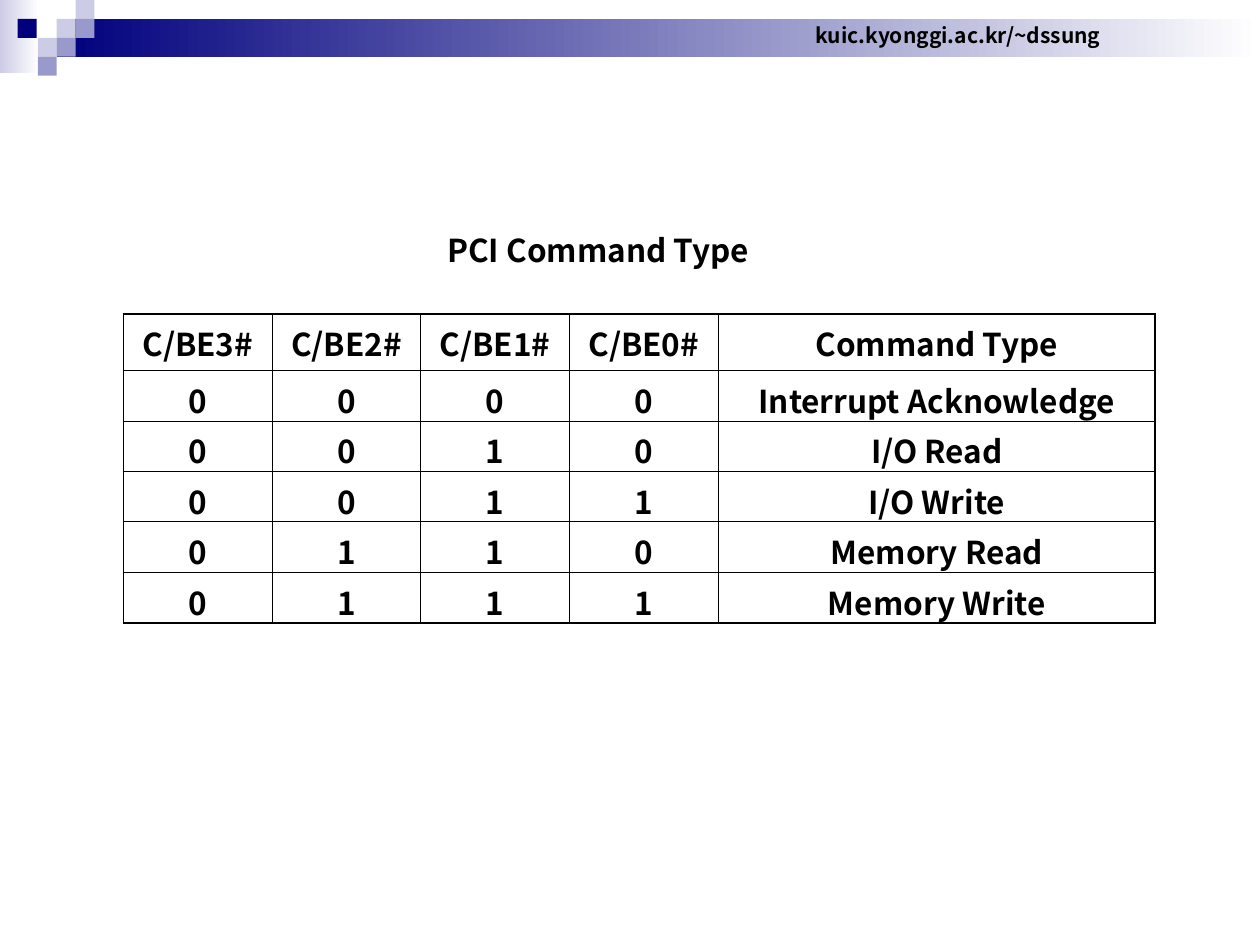
"""Build the PCI command type slide with its header band and table."""
from lxml import etree
from pptx import Presentation
from pptx.dml.color import RGBColor
from pptx.enum import shapes, text
from pptx.oxml.ns import qn
from pptx.util import Inches, Pt

FONT = "Noto Sans CJK KR"
COLORS = {"black": "000000", "white": "FFFFFF", "navy": "00007D",
          "pale": "CCCCE6", "violet": "9999CC"}
TITLE = "PCI Command Type"
ADDRESS = "kuic.kyonggi.ac.kr/~dssung"
BANDS = [((0, 0, 0.31, 0.58), "pale"), ((0.45, 0.15, 9.55, 0.3), "navy")]
SQUARE = 0.15
SQUARES = [(0.45, 0.15, "pale"), (0.6, 0, "pale"), (0.6, 0.15, "violet"),
           (0.3, 0.3, "pale"), (0.14, 0.15, "navy"),
           (0.45, 0.3, "violet"), (0.3, 0.45, "violet")]
COMMANDS = [
    ("C/BE3#", "C/BE2#", "C/BE1#", "C/BE0#", "Command Type"),
    ("0", "0", "0", "0", "Interrupt Acknowledge"),
    ("0", "0", "1", "0", "I/O Read"),
    ("0", "0", "1", "1", "I/O Write"),
    ("0", "1", "1", "0", "Memory Read"),
    ("0", "1", "1", "1", "Memory Write"),
]
COLUMN_WIDTHS = [1.18] * 4 + [3.47]
ROW_HEIGHTS = [0.45] + [0.4] * 5
OUTER_LINE, INNER_LINE = 1.08, 0.45


def color(name):
    return RGBColor.from_string(COLORS[name])


def place(bounds):
    return [Inches(value) for value in bounds]


def write(frame, words, size, align):
    frame.text = words
    para = frame.paragraphs[0]
    para.alignment = align
    font = para.runs[0].font
    font.name, font.size, font.bold = FONT, Pt(size), True
    font.color.rgb = color("black")
    for tag in ("a:ea", "a:cs"):
        etree.SubElement(para.runs[0].font._element, qn(tag), typeface=FONT)
    return para


def fit_line(frame, anchor):
    frame.word_wrap = False
    frame.auto_size = text.MSO_AUTO_SIZE.SHAPE_TO_FIT_TEXT
    frame.vertical_anchor = anchor
    frame.margin_left = frame.margin_right = Inches(0.1)
    frame.margin_top = frame.margin_bottom = Inches(0.05)


def add_block(page, bounds):
    block = page.shapes.add_shape(shapes.MSO_SHAPE.RECTANGLE, *place(bounds))
    block.shadow.inherit = False
    block.line.fill.background()
    return block


def add_header(page):
    for bounds, shade in BANDS:
        fill = add_block(page, bounds).fill
        fill.gradient()
        fill.gradient_angle = 180
        for stop, name, position in zip(fill.gradient_stops, ("white", shade), (0, 1)):
            stop.color.rgb = color(name)
            stop.position = position
    for left, top, shade in SQUARES:
        fill = add_block(page, (left, top, SQUARE, SQUARE)).fill
        fill.solid()
        fill.fore_color.rgb = color(shade)
    box = page.shapes.add_textbox(*place((6.37, 0.13, 2.47, 0.3)))
    write(box.text_frame, ADDRESS, 12, text.PP_ALIGN.CENTER)
    fit_line(box.text_frame, text.MSO_ANCHOR.MIDDLE)


def set_borders(cell, outer_sides):
    for side in "LRTB":
        width = OUTER_LINE if outer_sides[side] else INNER_LINE
        line = etree.SubElement(cell._tc.get_or_add_tcPr(), qn(f"a:ln{side}"),
                                w=str(int(Pt(width))))
        fill = etree.SubElement(line, qn("a:solidFill"))
        etree.SubElement(fill, qn("a:srgbClr"), val=COLORS["black"])


def add_commands(page):
    bounds = (0.98, 2.49, sum(COLUMN_WIDTHS), sum(ROW_HEIGHTS))
    table = page.shapes.add_table(len(COMMANDS), len(COLUMN_WIDTHS), *place(bounds)).table
    table.first_row = table.horz_banding = False
    for column, width in zip(table.columns, COLUMN_WIDTHS):
        column.width = Inches(width)
    for row, height in zip(table.rows, ROW_HEIGHTS):
        row.height = Inches(height)
    last_row, last_column = len(COMMANDS) - 1, len(COLUMN_WIDTHS) - 1
    for r, command in enumerate(COMMANDS):
        for c, words in enumerate(command):
            cell = table.cell(r, c)
            para = write(cell.text_frame, words, 18, text.PP_ALIGN.CENTER)
            para.space_before = Pt(4.5)
            set_borders(cell, {"L": c == 0, "R": c == last_column,
                               "T": r == 0, "B": r == last_row})
            cell.fill.background()


def main():
    deck = Presentation()
    deck.slide_width, deck.slide_height = Inches(10), Inches(7.5)
    page = deck.slides.add_slide(deck.slide_layouts[5])
    add_header(page)
    add_commands(page)
    title = page.shapes.title
    title.left, title.top, title.width, title.height = place((3.45, 1.78, 2.61, 0.4))
    write(title.text_frame, TITLE, 18, text.PP_ALIGN.LEFT)
    fit_line(title.text_frame, text.MSO_ANCHOR.TOP)
    deck.save("out.pptx")


if __name__ == "__main__":
    main()
